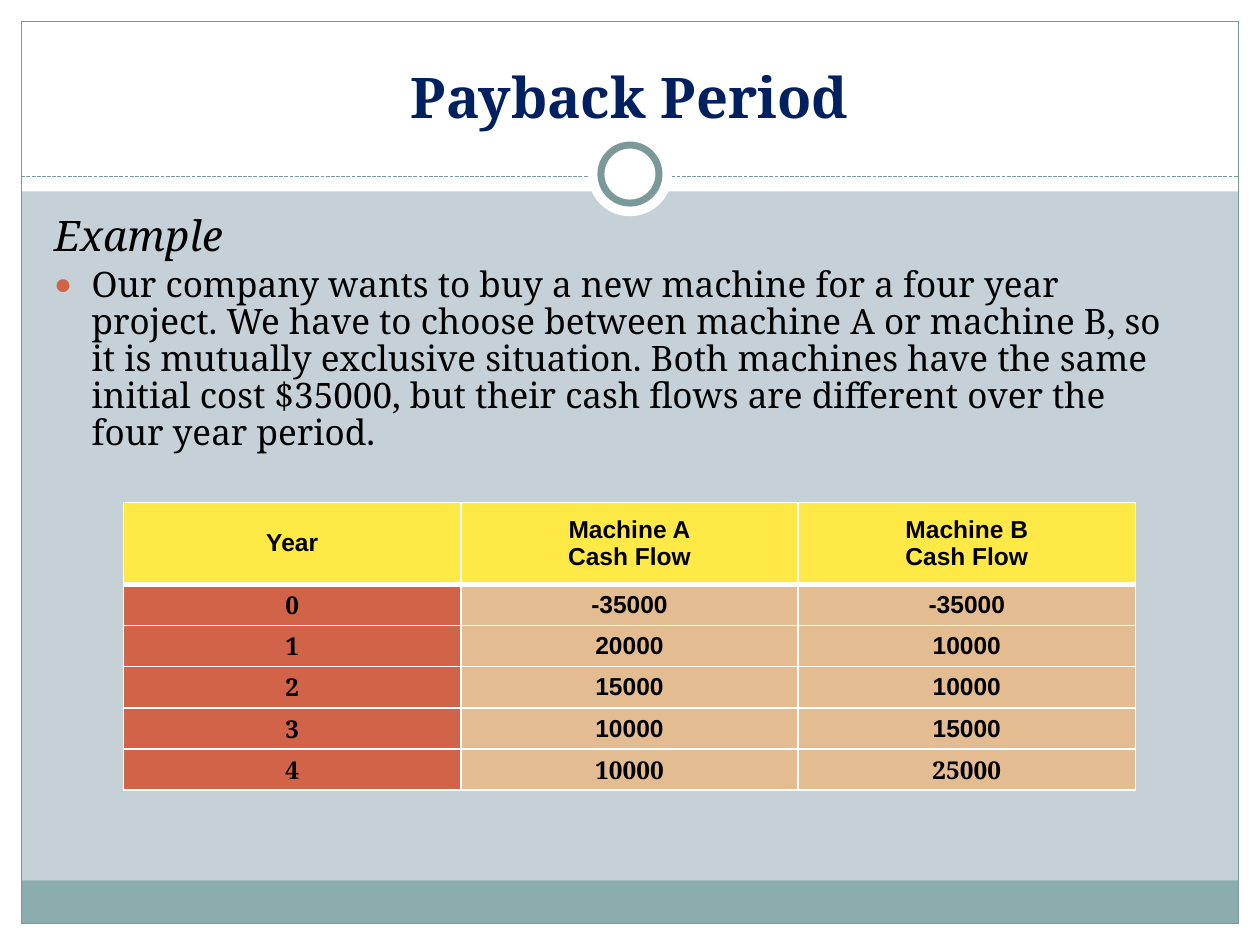
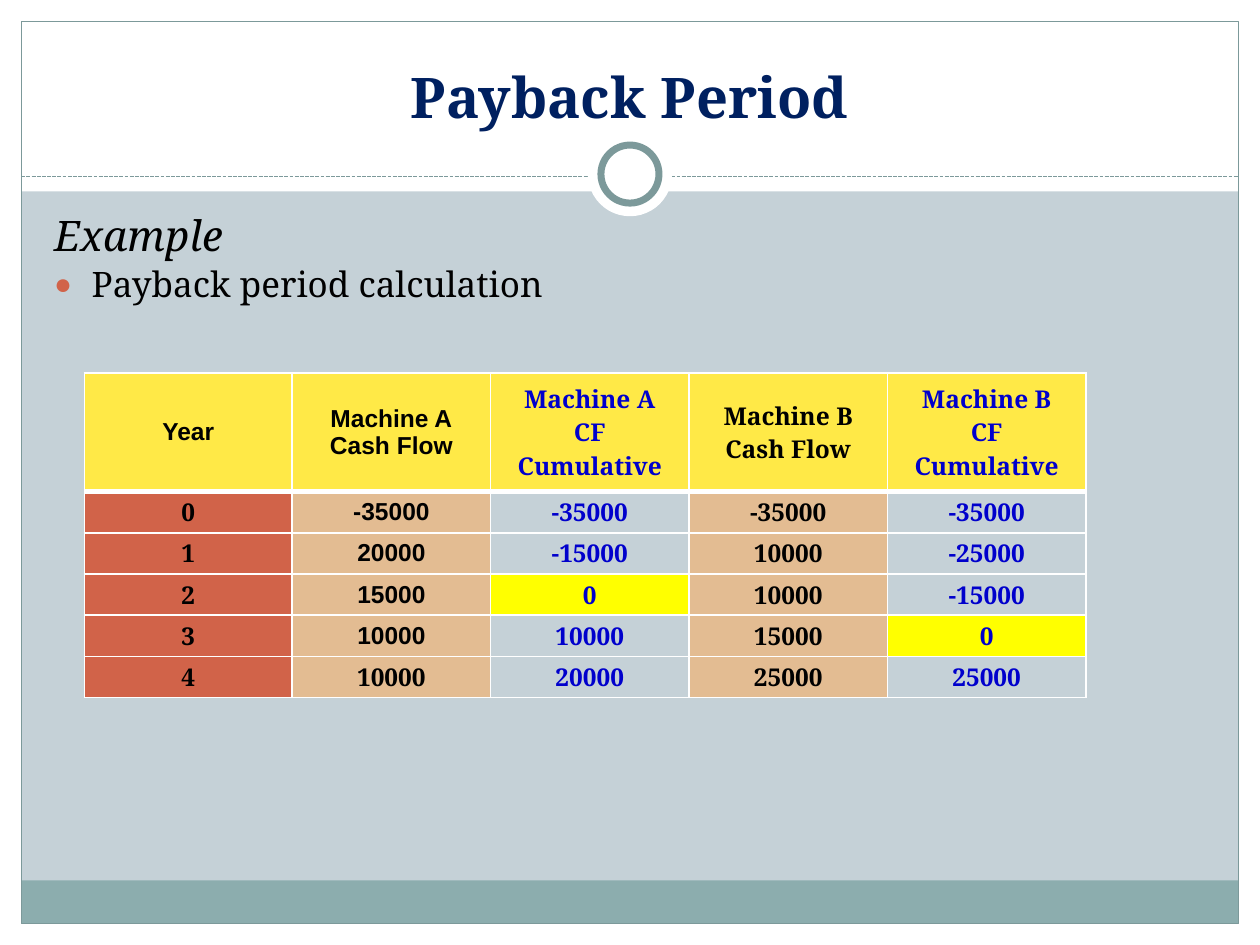
from lxml import etree
from pptx import Presentation
from pptx import util as u
from pptx.dml.color import RGBColor
from pptx.enum import dml, shapes, text
from pptx.oxml import ns

WHITE, BLACK, NAVY, BLUE = "FFFFFF", "000000", "002060", "0000CC"
PAGE, BAND, RULE = "C5D1D7", "8CADAE", "7C999A"
BRICK, TAN, GOLD, YELLOW = "D16349", "E3BC92", "FFE947", "FFFF00"
SERIF, SANS = "Noto Serif", "Arial"
WIDTH, HEIGHT, MARGIN = 25.4, 19.05, 0.43


def rgb(hex_color):
    """Turn a hex string into a colour."""
    return RGBColor.from_string(hex_color)


def add_xml(parent, tag, **attributes):
    """Append a DrawingML element to parent."""
    return etree.SubElement(parent, ns.qn(tag), attributes)


def style_runs(paragraph, size, color, font=SERIF, bold=False, italic=False):
    """Format every run of a paragraph."""
    for run in paragraph.runs:
        run.font.size = u.Pt(size)
        run.font.name = font
        run.font.bold = bold
        run.font.italic = italic
        run.font.color.rgb = rgb(color)


def add_figure(slide, kind, left, top, width, height, fill=None, line=None, weight=0.75):
    """Draw a preset shape with an optional fill and outline."""
    figure = slide.shapes.add_shape(kind, u.Cm(left), u.Cm(top), u.Cm(width), u.Cm(height))
    figure.shadow.inherit = False
    if fill:
        figure.fill.solid()
        figure.fill.fore_color.rgb = rgb(fill)
    else:
        figure.fill.background()
    if line:
        figure.line.color.rgb = rgb(line)
        figure.line.width = u.Pt(weight)
    else:
        figure.line.fill.background()


def add_dashed_rule(slide, top):
    """Draw the dashed line between the margins."""
    rule = slide.shapes.add_connector(
        shapes.MSO_CONNECTOR.STRAIGHT,
        u.Cm(MARGIN), u.Cm(top), u.Cm(WIDTH - MARGIN), u.Cm(top))
    rule.line.color.rgb = rgb(RULE)
    rule.line.width = u.Pt(0.75)
    rule.line.dash_style = dml.MSO_LINE.SQUARE_DOT
    add_xml(rule._element.spPr, "a:effectLst")


def add_frame(slide):
    """Draw the background, bands, border and ring that slides share."""
    slide.background.fill.solid()
    slide.background.fill.fore_color.rgb = rgb(PAGE)
    box, oval = shapes.MSO_SHAPE.RECTANGLE, shapes.MSO_SHAPE.OVAL
    inner_width, inner_height = WIDTH - 2 * MARGIN, HEIGHT - 2 * MARGIN
    add_figure(slide, box, 0, HEIGHT - MARGIN, WIDTH, MARGIN, WHITE)
    add_figure(slide, box, 0, 0, WIDTH, 3.86, WHITE)
    for left in (0, WIDTH - MARGIN):
        add_figure(slide, box, left, 0, MARGIN, HEIGHT, WHITE)
    add_figure(slide, box, MARGIN, 17.75, inner_width, 0.87, BAND)
    add_figure(slide, box, MARGIN, MARGIN, inner_width, inner_height, line=RULE)
    add_dashed_rule(slide, 3.56)
    for diameter, outline in ((1.7, None), (1.17, RULE)):
        add_figure(slide, oval, (WIDTH - diameter) / 2, 3.51 - diameter / 2,
                   diameter, diameter, WHITE, outline, 4)


def add_textbox(slide, left, top, width, height):
    """Add a wrapping text box and return its text frame."""
    frame = slide.shapes.add_textbox(
        u.Cm(left), u.Cm(top), u.Cm(width), u.Cm(height)).text_frame
    frame.word_wrap = True
    return frame


def add_title(slide, title):
    """Write the centred slide title."""
    frame = add_textbox(slide, 0.84, 0.64, 23.7, 2.11)
    frame.vertical_anchor = text.MSO_ANCHOR.BOTTOM
    frame.text = title
    frame.paragraphs[0].alignment = text.PP_ALIGN.CENTER
    style_runs(frame.paragraphs[0], 32, NAVY, bold=True)


def add_bullet(paragraph):
    """Give a paragraph a hanging round bullet."""
    properties = paragraph._p.get_or_add_pPr()
    properties.set("marL", str(u.Cm(0.76)))
    properties.set("indent", str(-u.Cm(0.76)))
    add_xml(add_xml(properties, "a:buClr"), "a:srgbClr", val=BRICK)
    add_xml(properties, "a:buSzPct", val="85000")
    add_xml(properties, "a:buFont", typeface=SANS)
    add_xml(properties, "a:buChar", char="●")


def add_body(slide, heading, point):
    """Write an italic heading with one bullet point under it."""
    frame = add_textbox(slide, 0.84, 4.24, 23.27, 12.7)
    frame.text = f"{heading}\n{point}"
    for paragraph in frame.paragraphs:
        paragraph.line_spacing = 0.88
        paragraph.space_before = u.Pt(4)
    heading_line, point_line = frame.paragraphs
    style_runs(heading_line, 24, BLACK, italic=True)
    style_runs(point_line, 20, BLACK)
    add_bullet(point_line)


def add_borders(cell, top, bottom):
    """Give a cell white borders; top and bottom are widths in points."""
    properties = cell._tc.get_or_add_tcPr()
    for side, weight in (("L", 1), ("R", 1), ("T", top), ("B", bottom)):
        border = add_xml(properties, f"a:ln{side}", w=str(u.Pt(weight)))
        add_xml(add_xml(border, "a:solidFill"), "a:srgbClr", val=WHITE)


def fill_color(row, column, value, cumulative):
    """Choose the fill of a cell; None leaves it clear."""
    if row == 0:
        return GOLD
    if column == 0:
        return BRICK
    if column in cumulative:
        return YELLOW if value == "0" else None
    return TAN


def add_cash_table(slide, left, top, widths, header_height, rows, sans, cumulative=()):
    """Add a cash flow table; sans and cumulative list column numbers."""
    row_height = 0.83
    table = slide.shapes.add_table(
        len(rows), len(widths), u.Cm(left), u.Cm(top), u.Cm(sum(widths)),
        u.Cm(header_height + row_height * (len(rows) - 1))).table
    table.first_row = table.horz_banding = False
    for column, width in zip(table.columns, widths):
        column.width = u.Cm(width)
    for r, values in enumerate(rows):
        table.rows[r].height = u.Cm(row_height if r else header_height)
        for c, value in enumerate(values):
            cell = table.cell(r, c)
            cell.text_frame.text = value
            cell.vertical_anchor = text.MSO_ANCHOR.MIDDLE
            cell.margin_left = cell.margin_right = u.Cm(0.19)
            cell.margin_top = cell.margin_bottom = 0
            add_borders(cell, 3 if r == 1 else 1, 1 if r else 3)
            fill = fill_color(r, c, value, cumulative)
            if fill:
                cell.fill.solid()
                cell.fill.fore_color.rgb = rgb(fill)
            else:
                cell.fill.background()
            is_sans = r == c == 0 or (c in sans and r < len(rows) - 1)
            for paragraph in cell.text_frame.paragraphs:
                paragraph.alignment = text.PP_ALIGN.CENTER
                style_runs(paragraph, 14, BLUE if c in cumulative else BLACK,
                           SANS if is_sans else SERIF, bold=True)


def add_example_slide(deck, point):
    """Add a slide with the shared frame, title and example text."""
    slide = deck.slides.add_slide(deck.slide_layouts[6])
    add_frame(slide)
    add_title(slide, "Payback Period")
    add_body(slide, "Example", point)
    return slide


def running_totals(flows):
    """Return the cumulative sums of the flows."""
    return [sum(flows[:count + 1]) for count in range(len(flows))]


def table_rows(headers, *columns):
    """Join headers and number columns into rows of text, led by the year."""
    years = range(len(columns[0]))
    return [headers] + [[str(v) for v in row] for row in zip(years, *columns)]


def main():
    """Build both slides and save the deck."""
    deck = Presentation()
    deck.slide_width, deck.slide_height = u.Cm(WIDTH), u.Cm(HEIGHT)
    machine_a = [-35000, 20000, 15000, 10000, 10000]
    machine_b = [-35000, 10000, 10000, 15000, 25000]
    flow_a, flow_b = "Machine A\nCash Flow", "Machine B\nCash Flow"

    choice = add_example_slide(
        deck,
        "Our company wants to buy a new machine for a four year project. "
        "We have to choose between machine A or machine B, so it is mutually "
        "exclusive situation. Both machines have the same initial cost $35000, "
        "but their cash flows are different over the four year period.")
    add_cash_table(choice, 2.49, 10.13, [6.8] * 3, 1.65,
                   table_rows(["Year", flow_a, flow_b], machine_a, machine_b),
                   sans=(1, 2))

    calculation = add_example_slide(deck, "Payback period calculation")
    headers = ["Year", flow_a, "Machine A\nCF Cumulative",
               flow_b, "Machine B\nCF Cumulative"]
    add_cash_table(calculation, 1.7, 7.52, [4.19] + [4.0] * 4, 2.39,
                   table_rows(headers, machine_a, running_totals(machine_a),
                              machine_b, running_totals(machine_b)),
                   sans=(1,), cumulative=(2, 4))
    deck.save("out.pptx")


main()
